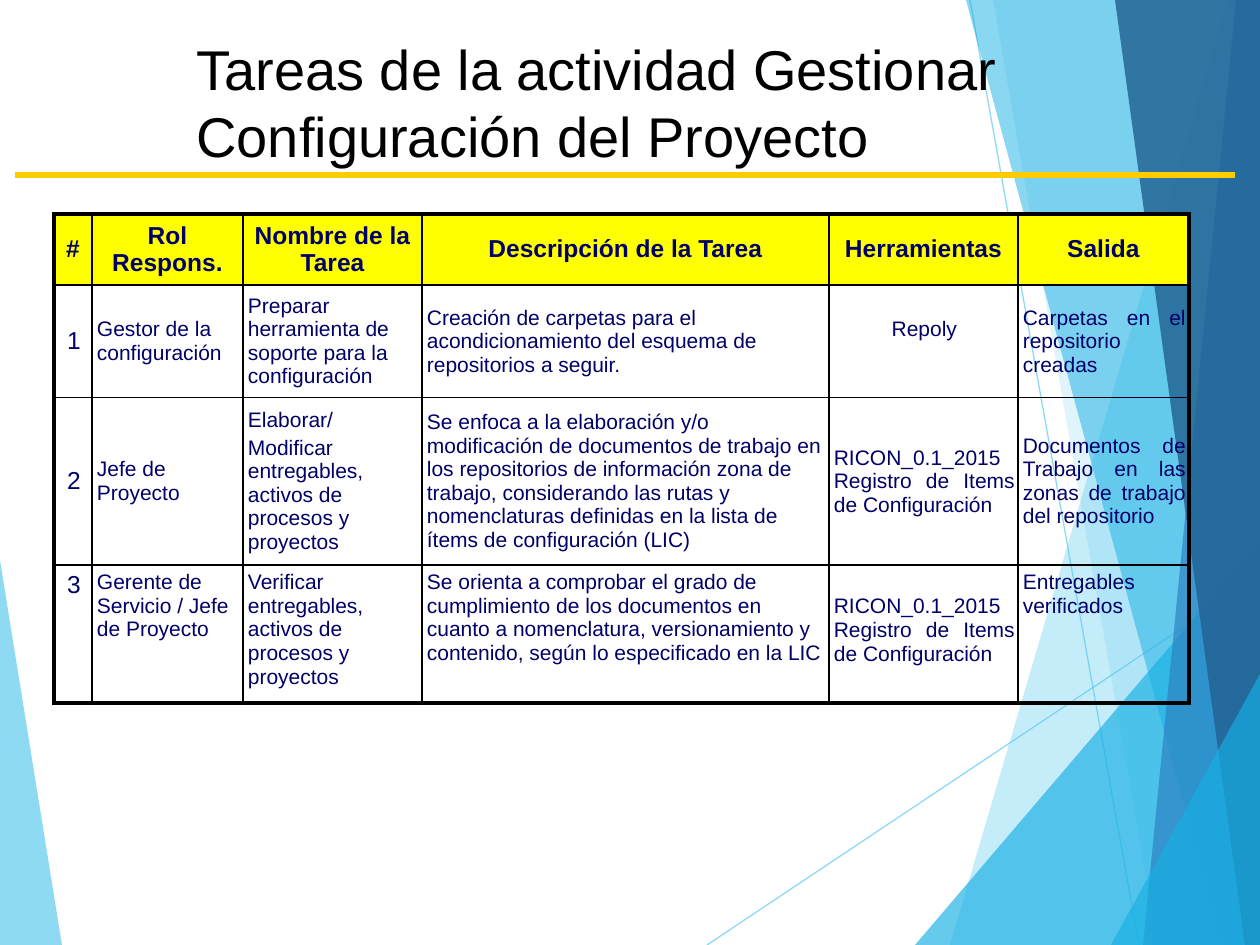
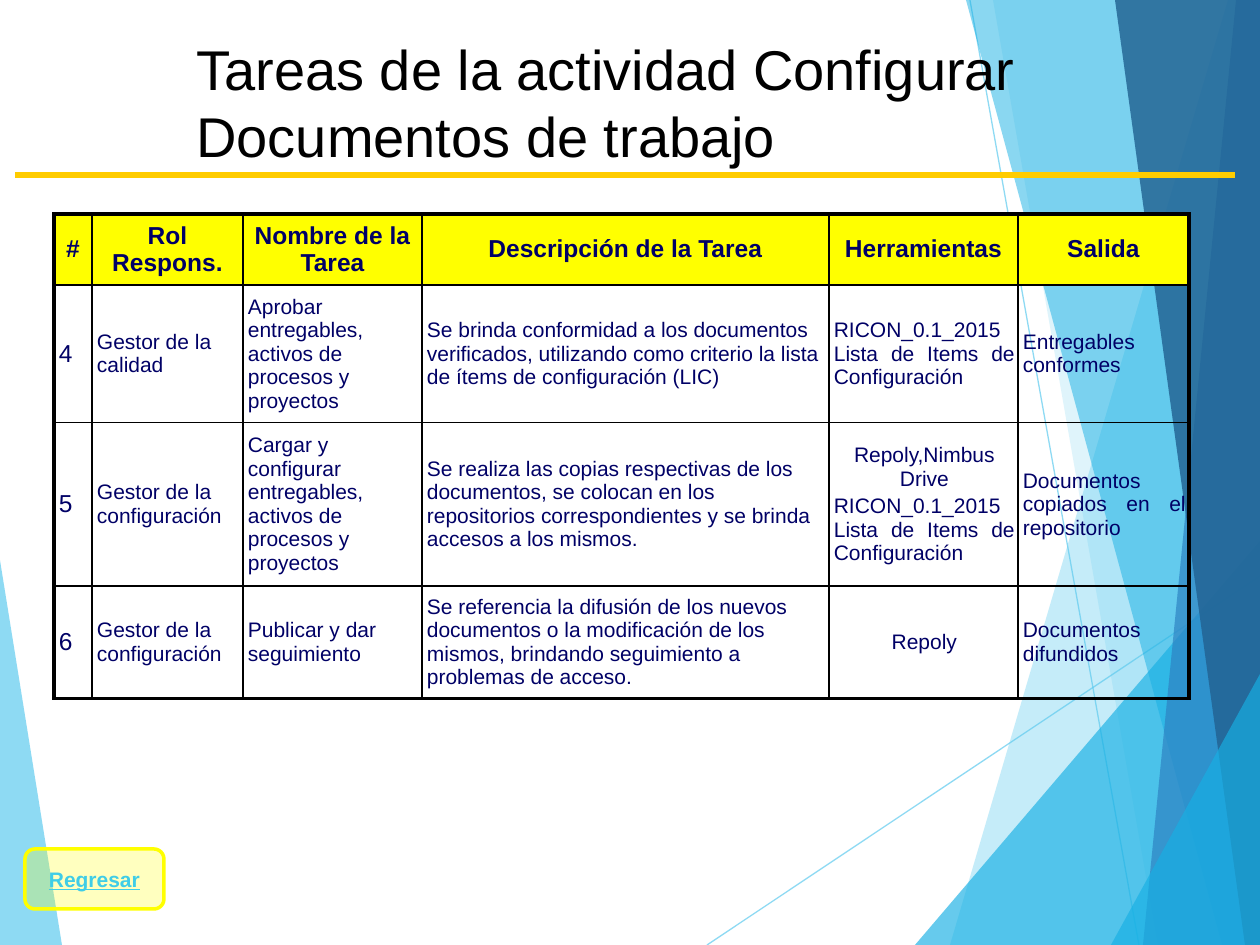
"""Build two slides of project configuration tasks, each with a title, a rule and a table."""
from dataclasses import dataclass

from lxml import etree
from pptx import Presentation
from pptx.dml.color import RGBColor
from pptx.enum.shapes import MSO_CONNECTOR, MSO_SHAPE
from pptx.enum.text import MSO_ANCHOR, PP_ALIGN
from pptx.oxml.ns import qn
from pptx.util import Pt

LEFT, MID, JUST = PP_ALIGN.LEFT, PP_ALIGN.CENTER, PP_ALIGN.JUSTIFY
TOP, CENTER = MSO_ANCHOR.TOP, MSO_ANCHOR.MIDDLE
LINE, BUTTON = MSO_CONNECTOR.STRAIGHT, MSO_SHAPE.FLOWCHART_ALTERNATE_PROCESS
PX = 914400 / 126
WIDE, HIGH = 1260, 945


@dataclass(frozen=True)
class Theme:
    font: str = "Arial"
    title: int = 32
    head: int = 14
    body: int = 12
    black: str = "000000"
    navy: str = "000066"
    yellow: str = "FFFF00"
    gold: str = "FFCC00"
    sky: str = "5FCBEF"
    cyan: str = "17B0E4"
    blue: str = "2E83C3"
    deep: str = "226292"
    link: str = "3FCDE7"


T = Theme()


def paint(part, color, alpha=100):
    """Give a fill or line format a solid colour and an opacity in percent."""
    part.solid()
    part.fore_color.rgb = RGBColor.from_string(color)
    if alpha < 100:
        tone = part._xPr.find(qn("a:solidFill"))[0]
        etree.SubElement(tone, qn("a:alpha"), val=str(alpha * 1000))


def write(par, text, size, color, align=LEFT, bold=False):
    """Add one styled run to a paragraph."""
    par.alignment = align
    run = par.add_run()
    run.text = text
    run.font.name, run.font.size, run.font.bold = T.font, Pt(size), bold
    run.font.color.rgb = RGBColor.from_string(color)
    return run


BACK = [
    (T.sky, 70, [(0, 560), (62, HIGH), (0, HIGH)]),
    (T.sky, 70, [(707, HIGH), (WIDE, 576)]),
    (T.sky, 70, [(970, 0), (1139, HIGH)]),
    (T.sky, 36, [(1228, 0), (950, HIGH), (WIDE, HIGH), (WIDE, 0)]),
    (T.sky, 20, [(993, 0), (1158, HIGH), (WIDE, HIGH), (WIDE, 0)]),
    (T.cyan, 66, [(915, HIGH), (WIDE, 541), (WIDE, HIGH)]),
    (T.cyan, 50, [(966, 0), (1222, HIGH), (WIDE, HIGH), (WIDE, 0)]),
    (T.blue, 70, [(1236, 0), (1143, HIGH), (WIDE, HIGH), (WIDE, 0)]),
    (T.deep, 82, [(1115, 0), (1245, HIGH), (WIDE, HIGH), (WIDE, 0)]),
    (T.cyan, 66, [(1111, HIGH), (WIDE, 674), (WIDE, HIGH)]),
]
RULE = (T.gold, 100, [(15, 175), (1235, 175)])
HEAD = ["#", "Rol Respons.", "Nombre de la Tarea", "Descripción de la Tarea",
        "Herramientas", "Salida"]
COLS = [38, 151, 179, 407, 189, 171]
LIST = "RICON_0.1_2015 Lista de Items de Configuración"
LOG = "RICON_0.1_2015 Registro de Items de Configuración"
TOOL = "Repoly"
DECK = [
    ("Tareas de la actividad Gestionar Configuración del Proyecto", MID, [68, 107, 159, 130], [
        ["1", "Gestor de la configuración",
         "Preparar herramienta de soporte para la configuración",
         "Creación de carpetas para el acondicionamiento del esquema de repositorios a seguir.",
         TOOL, "Carpetas en el repositorio creadas"],
        ["2", "Jefe de Proyecto",
         "Elaborar/\nModificar entregables, activos de procesos y proyectos",
         "Se enfoca a la elaboración y/o modificación de documentos de trabajo en los "
         "repositorios de información zona de trabajo, considerando las rutas y "
         "nomenclaturas definidas en la lista de ítems de configuración (LIC)",
         LOG, "Documentos de Trabajo en las zonas de trabajo del repositorio"],
        ["3", "Gerente de Servicio / Jefe de Proyecto",
         "Verificar entregables, activos de procesos y proyectos",
         "Se orienta a comprobar el grado de cumplimiento de los documentos en cuanto a "
         "nomenclatura, versionamiento y contenido, según lo especificado en la LIC",
         LOG, "Entregables verificados"],
    ]),
    ("Tareas de la actividad Configurar Documentos de trabajo", LEFT, [68, 131, 154, 107], [
        ["4", "Gestor de la calidad",
         "Aprobar entregables, activos de procesos y proyectos",
         "Se brinda conformidad a los documentos verificados, utilizando como criterio "
         "la lista de ítems de configuración (LIC)",
         LIST, "Entregables conformes"],
        ["5", "Gestor de la configuración",
         "Cargar y configurar entregables, activos de procesos y proyectos",
         "Se realiza las copias respectivas de los documentos, se colocan en los "
         "repositorios correspondientes y se brinda accesos a los mismos.",
         TOOL + ",Nimbus Drive\n" + LIST, "Documentos copiados en el repositorio"],
        ["6", "Gestor de la configuración", "Publicar y dar seguimiento",
         "Se referencia la difusión de los nuevos documentos o la modificación de los "
         "mismos, brindando seguimiento a problemas de acceso.",
         TOOL, "Documentos difundidos"],
    ]),
]
SHIFT = {"1": (6, 30), "3": (30, 6)}

prs = Presentation()
prs.slide_width, prs.slide_height = int(WIDE * PX), int(HIGH * PX)

for title, side, highs, tasks in DECK:
    slide = prs.slides.add_slide(prs.slide_layouts[6])
    shapes = slide.shapes

    for color, alpha, spots in BACK + [RULE]:
        if len(spots) == 2:
            line = shapes.add_connector(LINE, *[int(n * PX) for spot in spots for n in spot])
            line.line.width = Pt(3 if color == T.gold else 0.75)
            paint(line.line.fill, color, alpha)
            etree.SubElement(line._element.spPr, qn("a:effectLst"))
        else:
            path = shapes.build_freeform(*spots[0], scale=PX)
            path.add_line_segments(spots[1:])
            facet = path.convert_to_shape()
            facet.shadow.inherit = False
            facet.line.fill.background()
            paint(facet.fill, color, alpha)

    box = shapes.add_textbox(*[int(n * PX) for n in (184, 28, 1046, 147)])
    box.text_frame.word_wrap = True
    write(box.text_frame.paragraphs[0], title, T.title, T.black)

    rows = [HEAD] + tasks
    area = [int(n * PX) for n in (54, 214, sum(COLS), sum(highs))]
    table = shapes.add_table(len(rows), len(COLS), *area).table
    table.first_row = table.horz_banding = False
    for col, wide in zip(table.columns, COLS):
        col.width = int(wide * PX)
    for r, (row, high) in enumerate(zip(rows, highs)):
        table.rows[r].height = int(high * PX)
        for c, text in enumerate(row):
            cell = table.cell(r, c)
            top, low = SHIFT.get(row[0], (6, 6)) if c == 4 else (6, 6)
            cell.margin_top, cell.margin_bottom = int(top * PX), int(low * PX)
            cell.margin_left = int(5 * PX) if r else 0
            cell.margin_right = int(3 * PX) if r else 0
            cell.vertical_anchor = TOP if row[0] == "3" else CENTER
            if r:
                cell.fill.background()
            else:
                paint(cell.fill, T.yellow)
            edges = [("L", c == 0), ("R", c == len(COLS) - 1),
                     ("T", r == 0), ("B", r == len(rows) - 1)]
            for n, (edge, outer) in enumerate(edges):
                rim = etree.Element(qn("a:ln" + edge), w=str(Pt(2.25 if outer else 1)))
                tone = etree.SubElement(rim, qn("a:solidFill"))
                etree.SubElement(tone, qn("a:srgbClr"), val=T.black)
                cell._tc.get_or_add_tcPr().insert(n, rim)
            for n, words in enumerate(text.split("\n")):
                frame = cell.text_frame
                par = frame.add_paragraph() if n else frame.paragraphs[0]
                if n:
                    par.space_before = Pt(2.4)
                if r == 0 or (c == 4 and words.startswith(TOOL)):
                    align = MID
                else:
                    align = side if c == 0 else JUST if c > 3 else LEFT
                size = T.head if r == 0 or c == 0 else T.body
                write(par, words, size, T.navy, align, r == 0)

button = shapes.add_shape(BUTTON, *[int(n * PX) for n in (25, 849, 139, 60)])
button.shadow.inherit = False
paint(button.fill, T.yellow, 25)
paint(button.line.fill, T.yellow)
button.line.width = Pt(2)
button.text_frame.vertical_anchor = CENTER
label = write(button.text_frame.paragraphs[0], "Regresar", T.body, T.link, MID, True)
label.font.underline = True

prs.save("out.pptx")
